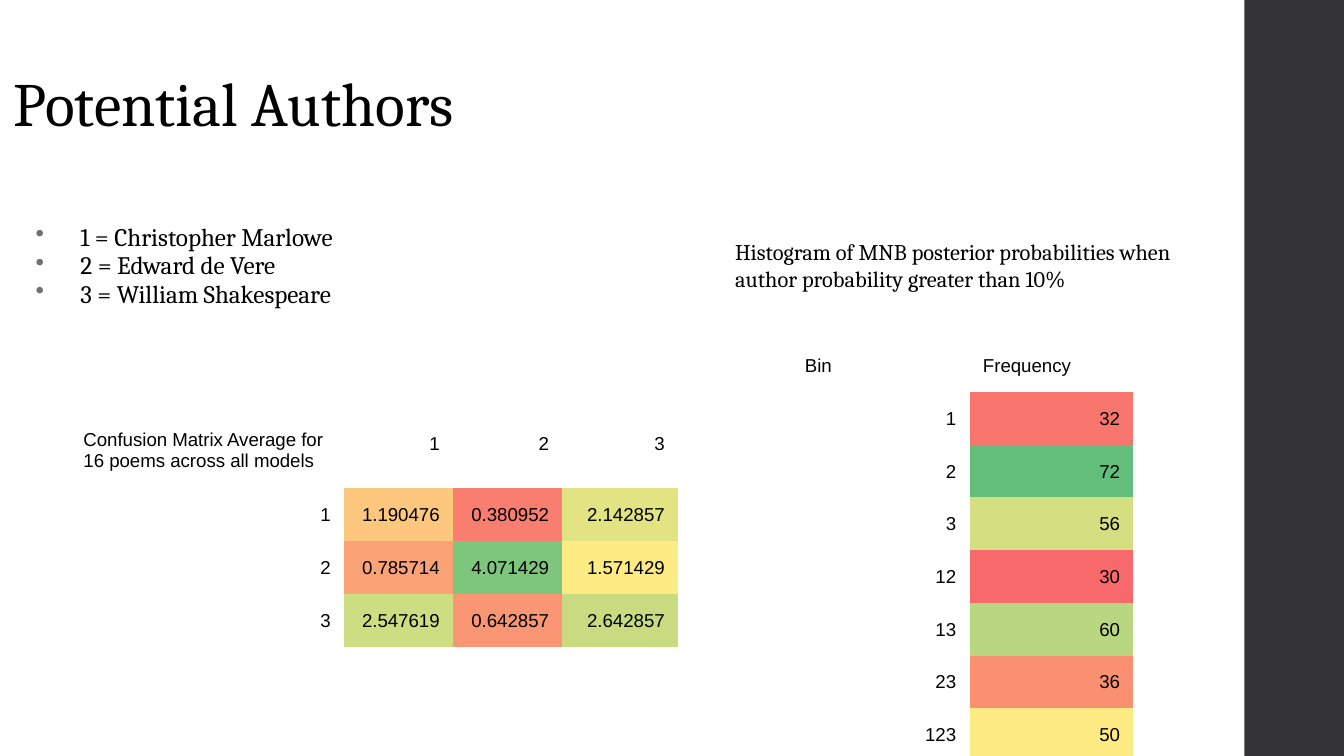
import pptx
import pptx.util
import pptx.dml.color
import pptx.enum.shapes
import pptx.enum.text
import pptx.oxml
import pptx.oxml.ns

Pt = pptx.util.Pt
qn = pptx.oxml.ns.qn
PP_ALIGN = pptx.enum.text.PP_ALIGN


def rgb(value):
    return pptx.dml.color.RGBColor.from_string(value)


def style(p, font, size):
    for r in p.runs:
        r.font.name = font
        r.font.size = Pt(size)
        r.font.bold = False
        r.font.color.rgb = rgb("000000")


prs = pptx.Presentation()
prs.slide_width, prs.slide_height = Pt(720), Pt(405)
s = prs.slides.add_slide(prs.slide_layouts[5])

sp = s.shapes.add_shape(
    pptx.enum.shapes.MSO_SHAPE.RECTANGLE, Pt(666.7), Pt(0), Pt(53.3), Pt(405))
sp.shadow.inherit = False
sp.fill.solid()
sp.fill.fore_color.rgb = rgb("343437")
sp.line.fill.background()

title = s.shapes.title
title.left, title.top, title.width, title.height = Pt(0), Pt(0), Pt(572.4), Pt(78.5)
tf = title.text_frame
tf.text = "Potential Authors"
tf.word_wrap = True
tf.auto_size = pptx.enum.text.MSO_AUTO_SIZE.NONE
tf.vertical_anchor = pptx.enum.text.MSO_ANCHOR.BOTTOM
p = tf.paragraphs[0]
p.alignment = PP_ALIGN.LEFT
p.line_spacing = 0.9
style(p, "Cambria", 33)

authors = ["Christopher Marlowe", "Edward de Vere", "William Shakespeare"]
tf = s.shapes.add_textbox(Pt(0), Pt(116), Pt(264), Pt(74)).text_frame
tf.word_wrap = True
tf.text = "\n".join(f"{n} = {author}" for n, author in enumerate(authors, 1))
for i, p in enumerate(tf.paragraphs):
    p.line_spacing = 0.95
    p.space_before = Pt(10.5 if i == 0 else 0)
    style(p, "Cambria", 13.5)
    pPr = p._p.get_or_add_pPr()
    pPr.set("marL", str(Pt(36)))
    pPr.set("indent", str(Pt(-24)))
    color = pptx.oxml.parse_xml(
        '<a:buClr xmlns:a="http://schemas.openxmlformats.org/drawingml/2006/main">'
        '<a:srgbClr val="6F6F74"/></a:buClr>')
    pPr.append(color)
    bullet = pptx.oxml.parse_xml(
        '<a:buChar xmlns:a="http://schemas.openxmlformats.org/drawingml/2006/main" char="•"/>')
    pPr.append(bullet)

matrix = [
    ["Confusion Matrix Average for 16 poems across all models", "1", "2", "3"],
    ["1", ("1.190476", "FDC87D"), ("0.380952", "F97E6F"), ("2.142857", "E2E383")],
    ["2", ("0.785714", "FBA376"), ("4.071429", "7EC67D"), ("1.571429", "FFEB84")],
    ["3", ("2.547619", "CDDD82"), ("0.642857", "FA9673"), ("2.642857", "C8DB81")],
]
histogram = [
    ["Bin", "Frequency"],
    ["1", ("32", "F8766D")],
    ["2", ("72", "63BE7B")],
    ["3", ("56", "D5DF82")],
    ["12", ("30", "F8696B")],
    ["13", ("60", "B9D780")],
    ["23", ("36", "FA9072")],
    ["123", ("50", "FFEB84")],
]
tables = [
    (matrix, 37.5, 223.2, [146.8, 58.4, 58.6, 62], [32.4] + [23] * 3),
    (histogram, 424, 183.6, [95.4, 87.8], [15.1] * 8),
]
for rows, left, top, widths, heights in tables:
    gf = s.shapes.add_table(len(rows), len(widths), Pt(left), Pt(top),
                            Pt(sum(widths)), Pt(sum(heights)))
    table = gf.table
    table.first_row = False
    table.horz_banding = False
    for style_id in gf.element.iter(qn("a:tableStyleId")):
        style_id.text = "{2D5ABB26-0587-4C30-8999-92F81FD0307C}"
    for column, width in zip(table.columns, widths):
        column.width = Pt(width)
    for row, height, values in zip(table.rows, heights, rows):
        row.height = Pt(height)
        for cell, value in zip(row.cells, values):
            text, fill = value if isinstance(value, tuple) else (value, None)
            cell.margin_left = cell.margin_right = Pt(7.2)
            cell.margin_top = cell.margin_bottom = Pt(7.2)
            cell.text = text
            p = cell.text_frame.paragraphs[0]
            if text[0].isdigit():
                p.alignment = PP_ALIGN.RIGHT
                p.line_spacing = 1.15
            style(p, "Arial", 10)
            if fill:
                cell.fill.solid()
                cell.fill.fore_color.rgb = rgb(fill)
            else:
                cell.fill.background()

tf = s.shapes.add_textbox(Pt(386.8), Pt(120.2), Pt(257), Pt(44.6)).text_frame
tf.word_wrap = True
tf.margin_top = tf.margin_bottom = Pt(7.2)
tf.text = "Histogram of MNB posterior probabilities when author probability greater than 10%"
style(tf.paragraphs[0], "Cambria", 12)

prs.save("out.pptx")
